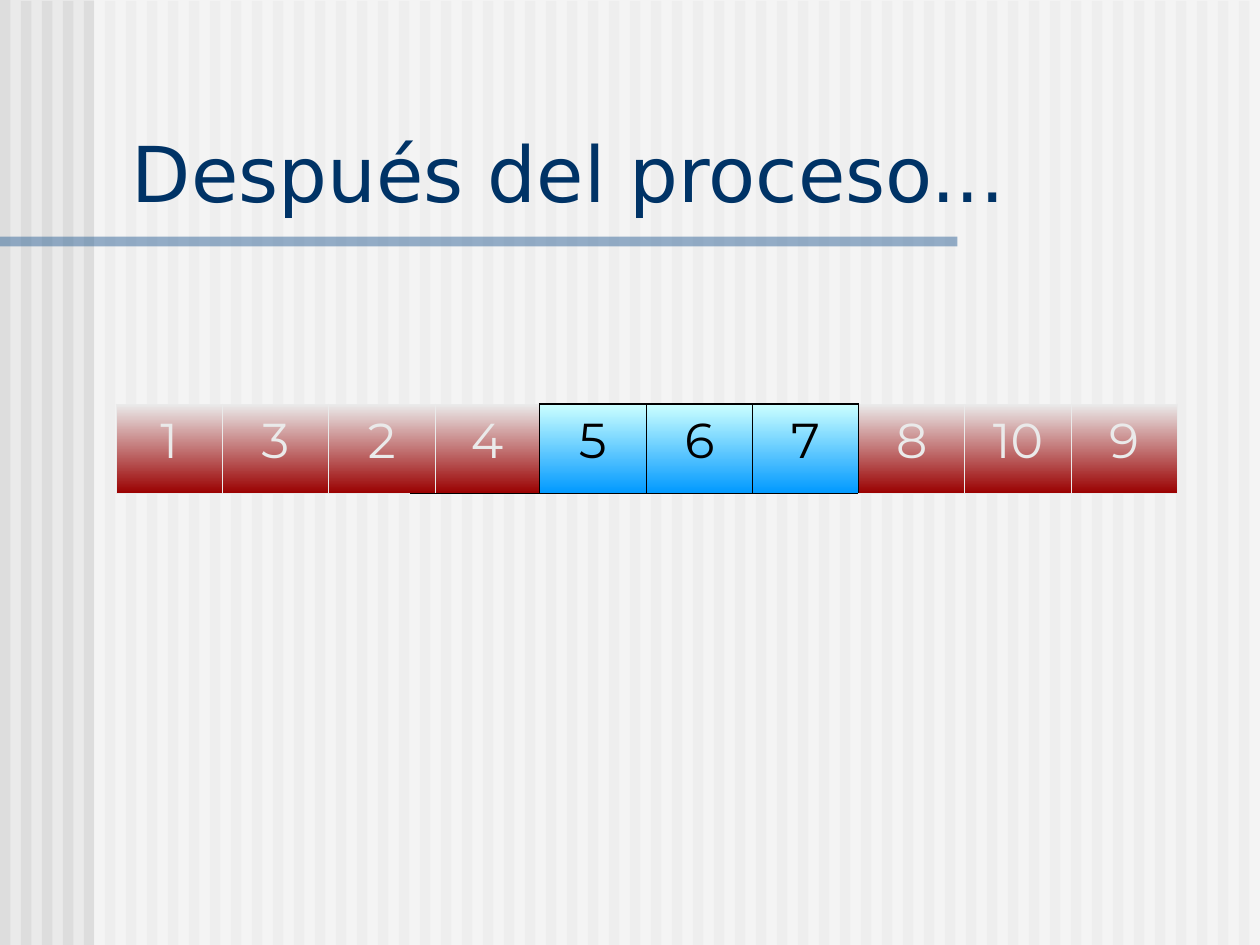
"""Build a slide showing the array after the partition process."""
from lxml import etree
from pptx import Presentation, util as u
from pptx.dml.color import RGBColor
from pptx.enum import shapes, text
from pptx.oxml import ns

Cm, Pt = u.Cm, u.Pt
COLORS = {
    "paper": "EAEAEA", "stripe": "DDDDDD", "veil": "FFFFFF", "bar": "336699",
    "title": "003366", "red": "9A0000", "sky": "CCFFFF", "blue": "0099FF", "black": "000000",
}
rgb = {name: RGBColor.from_string(value) for name, value in COLORS.items()}


def add_rect(left, top, width, height, color, alpha=None):
    s = sld.shapes.add_shape(shapes.MSO_SHAPE.RECTANGLE, Cm(left), Cm(top), Cm(width), Cm(height))
    s.shadow.inherit = False
    s.line.fill.background()
    s.fill.solid()
    s.fill.fore_color.rgb = rgb[color]
    if alpha:
        clr = s._element.spPr.find(ns.qn("a:solidFill"))[0]
        etree.SubElement(clr, ns.qn("a:alpha"), val=str(alpha * 1000))


def add_borders(cell, borders):
    tcPr = cell._tc.get_or_add_tcPr()
    for side in "LRTB":
        if side in borders:
            color, points = borders[side]
            ln = etree.SubElement(tcPr, ns.qn(f"a:ln{side}"), w=str(Pt(points)))
            fill = etree.SubElement(ln, ns.qn("a:solidFill"))
            etree.SubElement(fill, ns.qn("a:srgbClr"), val=COLORS[color])


prs = Presentation()
prs.slide_width, prs.slide_height = Cm(25.4), Cm(19.05)
sld = prs.slides.add_slide(prs.slide_layouts[6])
sld.background.fill.solid()
sld.background.fill.fore_color.rgb = rgb["paper"]

stripes = 60
for i in range(stripes):
    add_rect(i * 25.4 / stripes, 0.02 if i else 0, 0.21, 19.05, "stripe")
add_rect(1.9, 0, 23.52, 19.05, "veil", 50)
add_rect(0, 4.77, 19.3, 0.2, "bar", 50)

widths = [2.14, 2.14, 1.65, 0.5, 2.1, 0.56, 1.6] + [2.14] * 5
heights = [1.8, 1.8, 3.25]
gf = sld.shapes.add_table(3, 12, Cm(2.34), Cm(6.35), Cm(sum(widths)), Cm(sum(heights)))
tbl = gf.table
tbl.first_row = tbl.horz_banding = False
gf._element.find(".//" + ns.qn("a:tableStyleId")).text = "{2D5ABB26-0587-4C30-8999-92F81FD0307C}"
for col, width in zip(tbl.columns, widths):
    col.width = Cm(width)
for row, height in zip(tbl.rows, heights):
    row.height = Cm(height)
for row, first, last in [(0, 2, 3), (0, 5, 6), (1, 2, 3), (1, 5, 6), (2, 3, 5)]:
    tbl.cell(row, first).merge(tbl.cell(row, last))

values = {0: 1, 1: 3, 2: 2, 4: 4, 5: 5, 7: 6, 8: 7, 9: 8, 10: 10, 11: 9}
thin, dark, thick = ("paper", 0.45), ("black", 0.45), ("black", 1.08)
for i in range(12):
    middle = 5 <= i <= 8
    edge = thick if middle else thin
    above, cell, below = (tbl.cell(row, i) for row in range(3))
    add_borders(above, {"B": edge})
    add_borders(cell, {"L": dark if 5 <= i <= 9 else thin, "R": dark if 4 <= i <= 8 else thin,
                       "T": edge, "B": edge})
    add_borders(below, {"T": thick if 3 <= i <= 8 else thin})
    above.fill.background()
    below.fill.background()
    cell.fill.gradient()
    cell.fill.gradient_angle = 270
    for stop, color in zip(cell.fill.gradient_stops, ("sky", "blue") if middle else ("paper", "red")):
        stop.color.rgb = rgb[color]
    if i in values:
        p = cell.text_frame.paragraphs[0]
        p.text = str(values[i])
        p.alignment = text.PP_ALIGN.CENTER
        p.space_before = Pt(7)
        p.font.name, p.font.size = "Montserrat", Pt(28)
        p.font.color.rgb = rgb["black" if middle else "paper"]

tf = sld.shapes.add_textbox(Cm(2.41), Cm(2.39), Cm(22.68), Cm(2.13)).text_frame
tf.word_wrap = True
tf.auto_size = text.MSO_AUTO_SIZE.SHAPE_TO_FIT_TEXT
tf.vertical_anchor = text.MSO_ANCHOR.BOTTOM
p = tf.paragraphs[0]
p.text = "Después del proceso..."
p.font.name, p.font.size = "DejaVu Sans", Pt(44)
p.font.color.rgb = rgb["title"]

prs.save("out.pptx")
